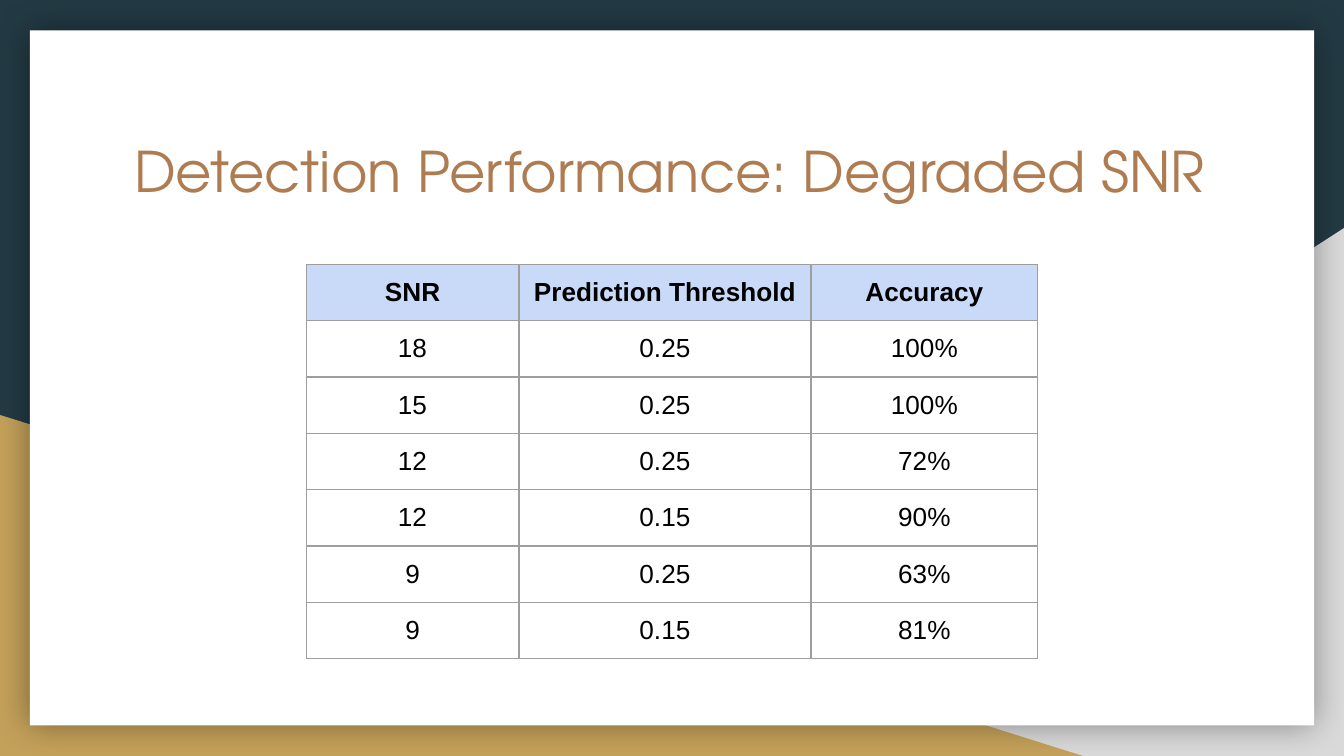
"""Build the slide on detection performance at degraded SNR."""
from typing import NamedTuple

from lxml.etree import SubElement
from pptx import Presentation
from pptx.dml.color import RGBColor
from pptx.enum.shapes import MSO_SHAPE as Preset
from pptx.enum.text import MSO_ANCHOR as Anchor, PP_ALIGN as Align
from pptx.oxml.ns import qn
from pptx.util import Pt

NAVY = RGBColor(0x23, 0x3A, 0x44)
GREY = RGBColor(0xD9, 0xD9, 0xD9)
GOLD = RGBColor(0xC4, 0xA1, 0x5A)
WHITE = RGBColor(0xFF, 0xFF, 0xFF)
BLACK = RGBColor(0x00, 0x00, 0x00)
COPPER = RGBColor(0xAF, 0x7B, 0x51)
HEADER_BLUE = RGBColor(0xC9, 0xDA, 0xF8)
RULE_GREY = RGBColor(0x9E, 0x9E, 0x9E)

SLIDE_WIDTH, SLIDE_HEIGHT = 720, 405
TABLE_TOP, ROW_HEIGHT = 141.7, 30.17
COLUMN_WIDTHS = (114, 156.5, 121.5)
INSET = Pt(7.2)


class Panel(NamedTuple):
    preset: Preset
    left: float
    top: float
    width: float
    height: float
    color: RGBColor
    flipped: bool = False
    shadowed: bool = False


class Result(NamedTuple):
    snr: str
    threshold: str
    accuracy: str


PANELS = (
    Panel(Preset.RIGHT_TRIANGLE, 282, 122.2, 438, 282.8, GREY, flipped=True),
    Panel(Preset.RIGHT_TRIANGLE, 0, 222.3, 580.2, 182.7, GOLD),
    Panel(Preset.RECTANGLE, 16, 16.3, 688, 372.4, WHITE, shadowed=True),
)

RESULTS = (
    Result("SNR", "Prediction Threshold", "Accuracy"),
    Result("18", "0.25", "100%"),
    Result("15", "0.25", "100%"),
    Result("12", "0.25", "72%"),
    Result("12", "0.15", "90%"),
    Result("9", "0.25", "63%"),
    Result("9", "0.15", "81%"),
)


def add_panel(slide, panel: Panel) -> None:
    shape = slide.shapes.add_shape(
        panel.preset, Pt(panel.left), Pt(panel.top), Pt(panel.width), Pt(panel.height))
    shape.fill.solid()
    shape.fill.fore_color.rgb = panel.color
    shape.line.fill.background()
    shape.shadow.inherit = False
    properties = shape._element.spPr
    if panel.flipped:
        properties.find(qn("a:xfrm")).set("flipH", "1")
    if panel.shadowed:
        glow = SubElement(properties.find(qn("a:effectLst")), qn("a:outerShdw"),
                          blurRad=str(Pt(18)), dist="0", dir="0",
                          algn="ctr", rotWithShape="0")
        shade = SubElement(glow, qn("a:srgbClr"), val=str(BLACK))
        SubElement(shade, qn("a:alpha"), val="40000")


def add_text(paragraph, text: str, font: str, size: float, color: RGBColor,
             bold: bool = False) -> None:
    run = paragraph.add_run()
    run.text = text
    run.font.name = font
    run.font.size = Pt(size)
    run.font.bold = bold
    run.font.color.rgb = color


def set_title(slide, text: str) -> None:
    title = slide.shapes.title
    title.left, title.top, title.width, title.height = map(Pt, (64.6, 66.2, 591, 74.9))
    frame = title.text_frame
    frame.word_wrap = True
    frame.vertical_anchor = Anchor.TOP
    frame.margin_left = frame.margin_right = INSET
    frame.margin_top = frame.margin_bottom = INSET
    heading = frame.paragraphs[0]
    heading.alignment = Align.LEFT
    add_text(heading, text, "TeX Gyre Adventor", 30, COPPER)
    slide.shapes._spTree.append(title._element)


def add_borders(cell) -> None:
    properties = cell._tc.get_or_add_tcPr()
    for side in ("lnL", "lnR", "lnT", "lnB"):
        border = SubElement(properties, qn(f"a:{side}"), w=str(Pt(0.75)))
        fill = SubElement(border, qn("a:solidFill"))
        SubElement(fill, qn("a:srgbClr"), val=str(RULE_GREY))


def fill_cell(cell, text: str, is_header: bool) -> None:
    cell.margin_left = cell.margin_right = INSET
    cell.margin_top = cell.margin_bottom = INSET
    cell.vertical_anchor = Anchor.TOP
    add_borders(cell)
    if is_header:
        cell.fill.solid()
        cell.fill.fore_color.rgb = HEADER_BLUE
    else:
        cell.fill.background()
    paragraph = cell.text_frame.paragraphs[0]
    paragraph.alignment = Align.CENTER
    add_text(paragraph, text, "Arial", 14, BLACK, is_header)


def add_results(slide, results: tuple[Result, ...]) -> None:
    width = sum(COLUMN_WIDTHS)
    table = slide.shapes.add_table(
        len(results), len(COLUMN_WIDTHS), Pt((SLIDE_WIDTH - width) / 2),
        Pt(TABLE_TOP), Pt(width), Pt(ROW_HEIGHT * len(results))).table
    table.horz_banding = False
    table.first_row = False
    for column, column_width in zip(table.columns, COLUMN_WIDTHS):
        column.width = Pt(column_width)
    for index, (row, result) in enumerate(zip(table.rows, results)):
        row.height = Pt(ROW_HEIGHT)
        for cell, text in zip(row.cells, result):
            fill_cell(cell, text, is_header=index == 0)


def main() -> None:
    deck = Presentation()
    deck.slide_width, deck.slide_height = Pt(SLIDE_WIDTH), Pt(SLIDE_HEIGHT)
    slide = deck.slides.add_slide(deck.slide_layouts.get_by_name("Title Only"))
    backdrop = slide.background.fill
    backdrop.solid()
    backdrop.fore_color.rgb = NAVY
    for panel in PANELS:
        add_panel(slide, panel)
    set_title(slide, "Detection Performance: Degraded SNR")
    add_results(slide, RESULTS)
    deck.save("out.pptx")


if __name__ == "__main__":
    main()
